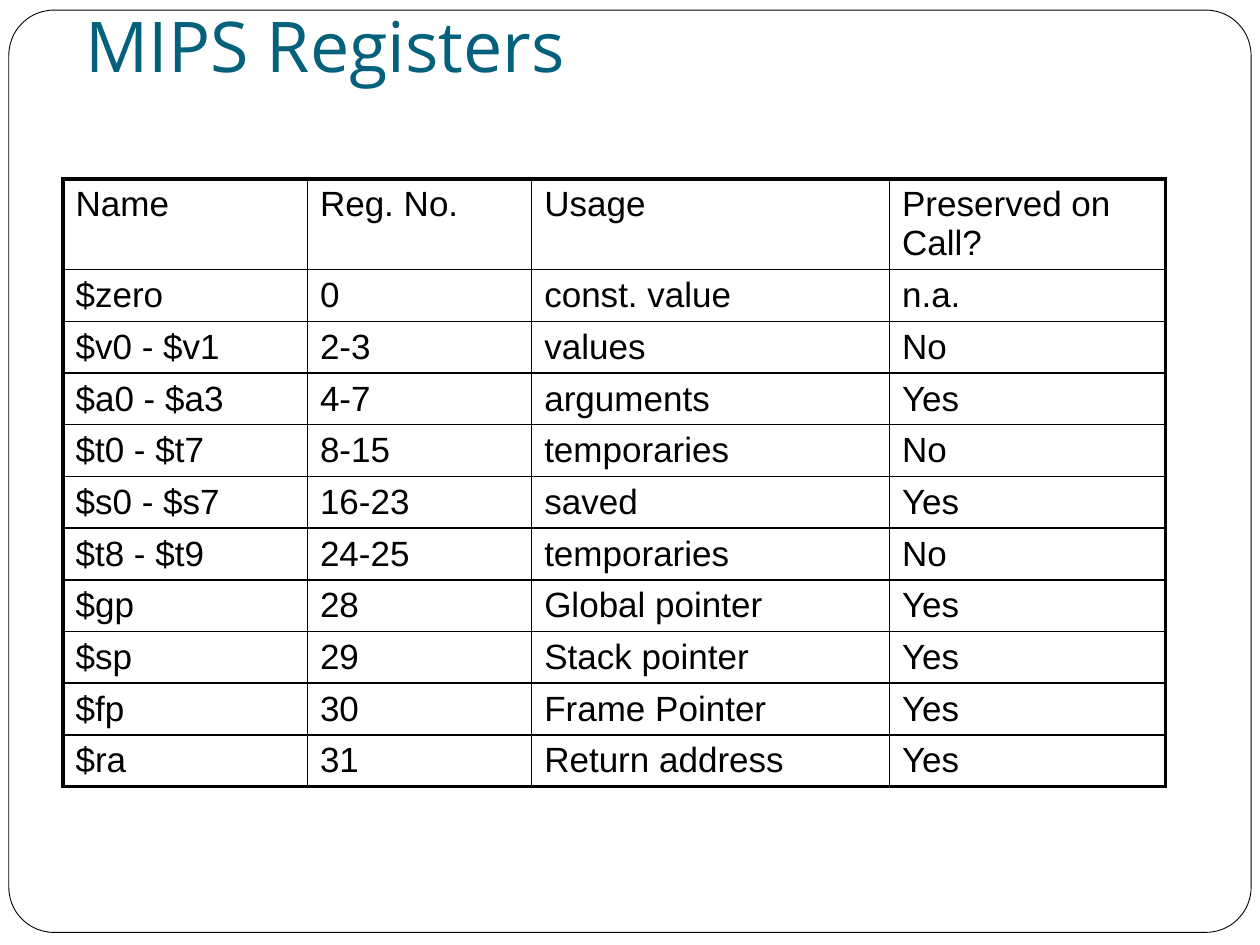
from dataclasses import dataclass

from pptx import Presentation
from pptx.dml.color import RGBColor
from pptx.enum.shapes import MSO_SHAPE as Shape
from pptx.enum.text import MSO_ANCHOR as Anchor, MSO_AUTO_SIZE as AutoSize, PP_ALIGN as Align
from pptx.oxml.ns import qn
from pptx.util import Inches, Pt
from lxml.etree import SubElement


@dataclass(frozen=True)
class Theme:
    white: str = "FFFFFF"
    black: str = "000000"
    title_color: str = "04617B"
    title_font: str = "Open Sans"
    body_font: str = "Arial"
    title_size: float = 40
    body_size: float = 20
    frame_line: float = 0.5
    inner_line: float = 1
    outer_line: float = 2.25


THEME = Theme()
TITLE_ONLY = 5

REGISTERS = [
    ("Name", "Reg. No.", "Usage", "Preserved on Call?"),
    ("$zero", "0", "const. value", "n.a."),
    ("$v0 - $v1", "2-3", "values", "No"),
    ("$a0 - $a3", "4-7", "arguments", "Yes"),
    ("$t0 - $t7", "8-15", "temporaries", "No"),
    ("$s0 - $s7", "16-23", "saved", "Yes"),
    ("$t8 - $t9", "24-25", "temporaries", "No"),
    ("$gp", "28", "Global pointer", "Yes"),
    ("$sp", "29", "Stack pointer", "Yes"),
    ("$fp", "30", "Frame Pointer", "Yes"),
    ("$ra", "31", "Return address", "Yes"),
]
COLUMN_SHARES = (1.94, 1.78, 2.84, 2.19)
HEADER_HEIGHT = Inches(0.72)


def format_text(text_frame, font, size, color):
    for paragraph in text_frame.paragraphs:
        paragraph.alignment = Align.LEFT
        for run in paragraph.runs:
            run.font.name = font
            run.font.size = Pt(size)
            run.font.color.rgb = RGBColor.from_string(color)


def add_frame(slide, left, top, width, height):
    """Rounded border, placed behind the title."""
    frame = slide.shapes.add_shape(Shape.ROUNDED_RECTANGLE, left, top, width, height)
    frame.adjustments[0] = 0.049
    frame.shadow.inherit = False
    frame.fill.solid()
    frame.fill.fore_color.rgb = RGBColor.from_string(THEME.white)
    frame.line.color.rgb = RGBColor.from_string(THEME.black)
    frame.line.width = Pt(THEME.frame_line)
    slide.shapes.title.element.addprevious(frame.element)


def set_title(slide, text, left, top, width, height):
    title = slide.shapes.title
    title.left, title.top, title.width, title.height = left, top, width, height
    text_frame = title.text_frame
    text_frame.text = text
    text_frame.auto_size = AutoSize.NONE
    text_frame.vertical_anchor = Anchor.BOTTOM
    text_frame.margin_bottom = Inches(0.1)
    format_text(text_frame, THEME.title_font, THEME.title_size, THEME.title_color)


def set_borders(cell, widths):
    """Draw cell borders; widths maps a side (L, R, T, B) to points."""
    properties = cell._tc.get_or_add_tcPr()
    for side, width in widths.items():
        line = SubElement(properties, qn(f"a:ln{side}"), w=str(Pt(width)))
        fill = SubElement(line, qn("a:solidFill"))
        SubElement(fill, qn("a:srgbClr"), val=THEME.black)


def add_register_table(slide, rows, left, top, width, height):
    last_row, last_column = len(rows) - 1, len(rows[0]) - 1
    table = slide.shapes.add_table(len(rows), len(rows[0]), left, top, width, height).table
    table.first_row = table.horz_banding = False

    # Column widths by share, equal body rows under a taller header
    for column, share in zip(table.columns, COLUMN_SHARES):
        column.width = int(width * share / sum(COLUMN_SHARES))
    for row in table.rows:
        row.height = int((height - HEADER_HEIGHT) / last_row)
    table.rows[0].height = HEADER_HEIGHT

    # Text and borders, heavier along the outside
    for i, values in enumerate(rows):
        for j, value in enumerate(values):
            cell = table.cell(i, j)
            cell.text_frame.text = value
            format_text(cell.text_frame, THEME.body_font, THEME.body_size, THEME.black)
            outside = {"L": j == 0, "R": j == last_column, "T": i == 0, "B": i == last_row}
            set_borders(cell, {side: THEME.outer_line if is_outer else THEME.inner_line
                               for side, is_outer in outside.items()})
            cell.fill.background()


def main():
    presentation = Presentation()
    presentation.slide_width, presentation.slide_height = Inches(10), Inches(7.5)
    slide = presentation.slides.add_slide(presentation.slide_layouts[TITLE_ONLY])
    add_frame(slide, Inches(0.07), Inches(0.08), Inches(9.86), Inches(7.32))
    set_title(slide, "MIPS Registers", Inches(0.58), Inches(0.33), Inches(8.92), Inches(0.46))
    add_register_table(slide, REGISTERS, Inches(0.5), Inches(1.42), Inches(8.75), Inches(4.82))
    presentation.save("out.pptx")


if __name__ == "__main__":
    main()
